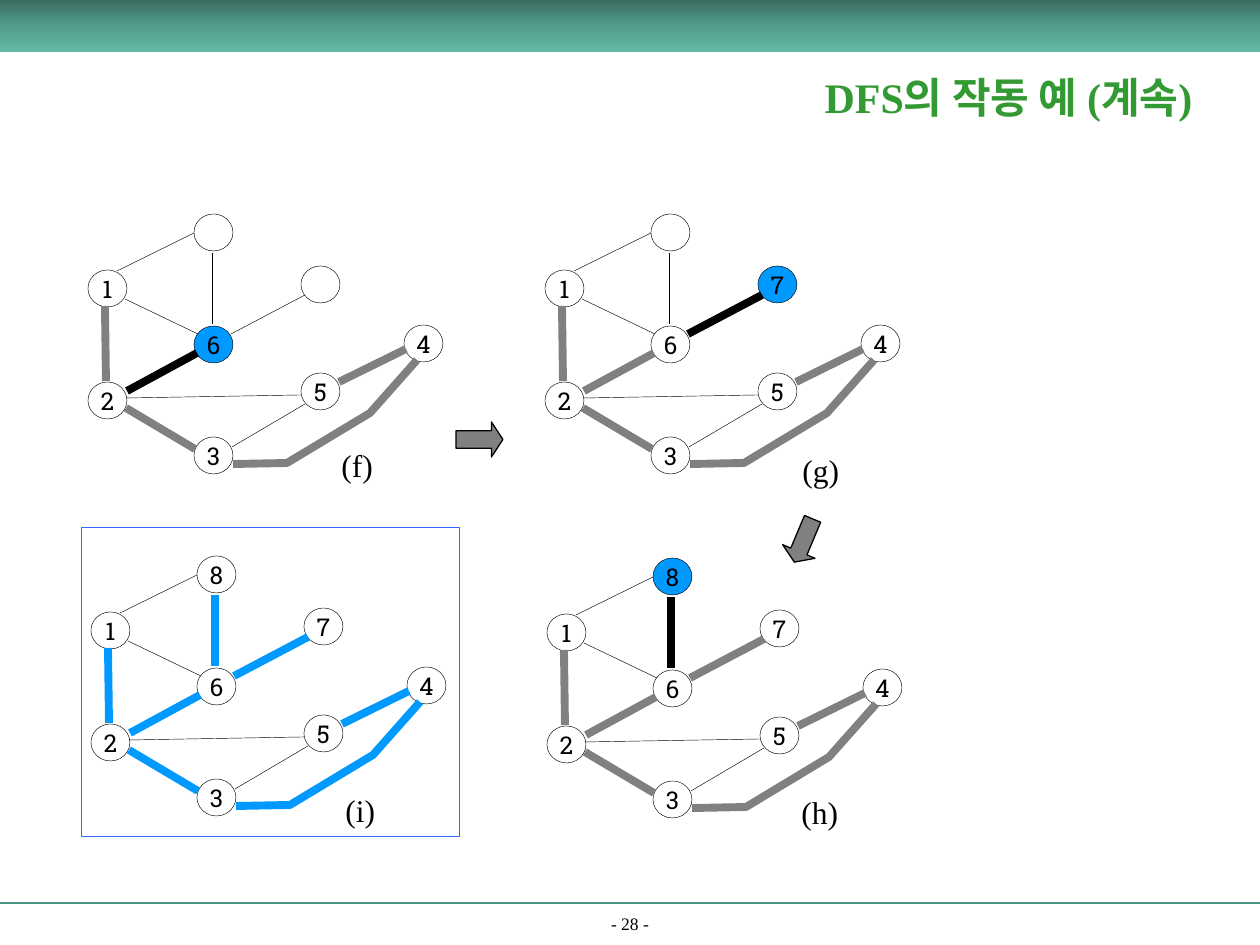
import pptx
import pptx.util
import pptx.dml.color
import pptx.enum.shapes
import pptx.enum.text
import pptx.oxml.ns
import copy
from dataclasses import dataclass
from lxml import etree

KIND = pptx.enum.shapes.MSO_SHAPE
ALIGN = pptx.enum.text.PP_ALIGN
ANCHOR = pptx.enum.text.MSO_ANCHOR
SCALE = 914400 / 126  # EMU in one px


@dataclass(frozen=True)
class Theme:
    ink: str = "000000"
    grey: str = "808080"
    blue: str = "0099FF"
    frame: str = "3366FF"
    title: str = "339933"
    rule: str = "4C9282"
    band: tuple = ("3A6D62", "539C8B", "62B9A5")
    serif: str = "Times New Roman"
    slab: str = "Roboto Slab"
    big: int = 24
    label: int = 18
    node: int = 14
    small: int = 10
    thin: float = 0.25
    thick: float = 4.5


THEME = Theme()

# Node and edge places, measured from the corner of one graph
NODE_W, NODE_H = 39, 37
NODES = {1: (0, 56), 2: (0, 168), 3: (106, 223), 4: (316, 111),
         5: (213, 159), 6: (106, 112), 7: (213, 52), 8: (106, 0)}
EDGES = {
    "16": [(37, 85), (110, 120)],
    "26": [(39, 177), (109, 139)],
    "18": [(29, 57), (106, 19)],
    "67": [(143, 120), (217, 81)],
    "23": [(38, 194), (107, 235)],
    "35": [(144, 233), (217, 190)],
    "12": [(17, 92), (18, 167)],
    "25": [(38, 184), (213, 181)],
    "45": [(251, 168), (318, 135)],
    "68": [(124, 110), (124, 39)],
    "34": [(329, 146), (282, 199), (199, 249), (145, 250)],
}
# Tree edges in visiting order: the first one leads to node 2
TREE = ["12", "23", "34", "45", "26", "67", "68"]


def px(num):
    return pptx.util.Emu(round(num * SCALE))


def rgb(code):
    return pptx.dml.color.RGBColor.from_string(code)


def pen(item, color, width):
    item.line.color.rgb = rgb(color)
    item.line.width = pptx.util.Pt(width)


def write(shape, text, size, font, color=THEME.ink, bold=False,
          align=ALIGN.CENTER, anchor=ANCHOR.MIDDLE, wrap=False):
    frame = shape.text_frame
    frame.word_wrap = wrap
    frame.vertical_anchor = anchor
    para = frame.paragraphs[0]
    para.alignment = align
    run = para.add_run()
    run.text = text
    run.font.size = pptx.util.Pt(size)
    run.font.name = font
    run.font.bold = bold
    run.font.color.rgb = rgb(color)


def add_text(slide, box, text, size, **style):
    shape = slide.shapes.add_textbox(*map(px, box))
    write(shape, text, size, THEME.serif, **style)


def add_shape(slide, kind, box, fill=None, line=THEME.ink, width=THEME.thin):
    shape = slide.shapes.add_shape(kind, *map(px, box))
    shape.shadow.inherit = False
    if fill:
        shape.fill.solid()
        shape.fill.fore_color.rgb = rgb(fill)
    else:
        shape.fill.background()
    if line:
        pen(shape, line, width)
    else:
        shape.line.fill.background()
    return shape


def add_line(slide, start, end, color, width):
    line = slide.shapes.add_connector(
        pptx.enum.shapes.MSO_CONNECTOR.STRAIGHT, *map(px, start + end))
    pen(line, color, width)
    etree.SubElement(line.element.spPr, pptx.oxml.ns.qn("a:effectLst"))


def add_bend(slide, points, color, width):
    first, *rest = [(px(x), px(y)) for x, y in points]
    maker = slide.shapes.build_freeform(*first)
    maker.add_line_segments(rest, close=False)
    shape = maker.convert_to_shape()
    shape.shadow.inherit = False
    shape.fill.background()
    pen(shape, color, width)


def add_band(slide, box):
    band = add_shape(slide, KIND.RECTANGLE, box, line=None)
    band.fill.gradient()
    band.fill.gradient_angle = 270
    stops = band.element.spPr.find(".//" + pptx.oxml.ns.qn("a:gsLst"))
    stops.insert(1, copy.deepcopy(stops[0]))
    for num, stop in enumerate(band.fill.gradient_stops):
        stop.color.rgb = rgb(THEME.band[num])
        stop.position = num / 2


def add_arrow(slide, box, turn=0):
    arrow = add_shape(slide, KIND.RIGHT_ARROW, box, THEME.grey, width=0.75)
    arrow.adjustments[1] = 0.33
    arrow.rotation = turn


def edge_style(name, now):
    """Colour and width of an edge while node `now` is visited."""
    if name not in TREE[:now - 1]:
        return THEME.ink, THEME.thin
    if now > len(NODES):
        return THEME.blue, THEME.thick
    if name == TREE[now - 2]:
        return THEME.ink, THEME.thick
    return THEME.grey, THEME.thick


def add_graph(slide, left, top, now):
    for num, (x, y) in NODES.items():
        fill = THEME.blue if num == now else None
        node = add_shape(slide, KIND.OVAL,
                         (left + x, top + y, NODE_W, NODE_H), fill)
        if num <= now:
            write(node, str(num), THEME.node, THEME.slab)
    for name, points in EDGES.items():
        spots = [(left + x, top + y) for x, y in points]
        style = edge_style(name, now)
        if len(spots) == 2:
            add_line(slide, *spots, *style)
        else:
            add_bend(slide, spots, *style)


def main():
    deck = pptx.Presentation()
    deck.slide_width, deck.slide_height = px(1260), px(945)
    slide = deck.slides.add_slide(deck.slide_layouts[6])

    # Header, title and footer
    add_band(slide, (0, 0, 1260, 52))
    add_text(slide, (757, 50, 503, 93), "DFS의 작동 예 (계속)", THEME.big,
             color=THEME.title, bold=True, wrap=True)
    add_line(slide, (0, 903), (1260, 903), THEME.rule, 1.5)
    add_text(slide, (0, 912, 1260, 28), "- 28 -", THEME.small,
             anchor=ANCHOR.BOTTOM, wrap=True)

    # Graph corner, node being visited (9 when done), label and its box
    steps = [
        ((88, 214), 6, "(f)", (329, 440, 57, 50)),
        ((545, 214), 7, "(g)", (790, 445, 62, 50)),
        ((547, 558), 8, "(h)", (789, 787, 62, 50)),
        ((91, 556), 9, "(i)", (333, 785, 55, 50)),
    ]
    for corner, now, text, box in steps:
        add_graph(slide, *corner, now)
        add_text(slide, box, text, THEME.label,
                 align=ALIGN.LEFT, anchor=ANCHOR.TOP)

    # Arrows between steps, frame around the result
    add_arrow(slide, (456, 422, 47, 35))
    add_arrow(slide, (780, 523, 47, 35), 112.8)
    add_shape(slide, KIND.RECTANGLE, (81, 527, 378, 309), line=THEME.frame)
    deck.save("out.pptx")


if __name__ == "__main__":
    main()
